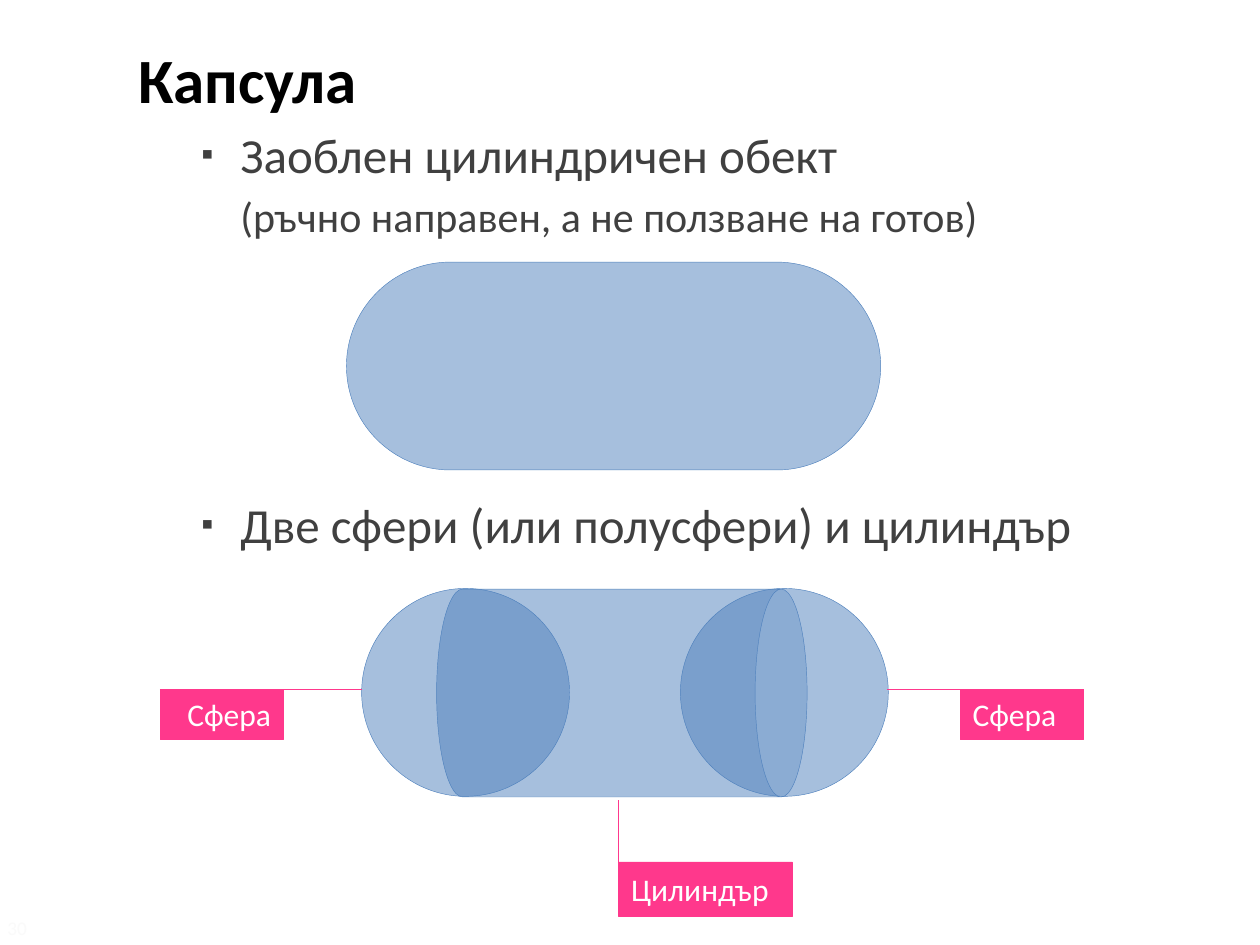
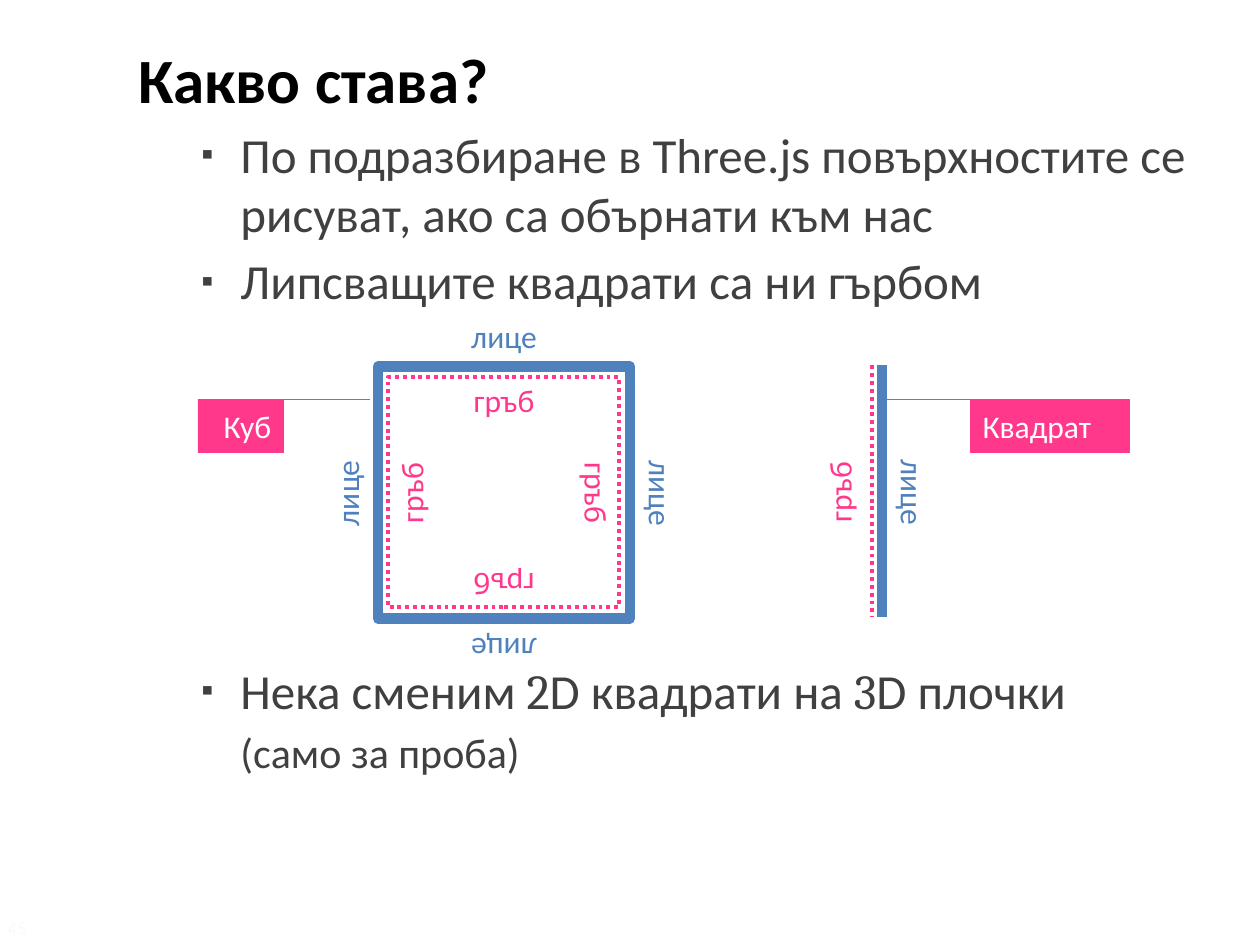
import math
from lxml import etree
from pptx import Presentation
from pptx.dml.color import RGBColor
from pptx.enum import dml, shapes, text
from pptx.oxml.ns import qn
from pptx.util import Inches, Pt

BLUE = RGBColor(0x4F, 0x81, 0xBD)
PINK = RGBColor(0xFF, 0x38, 0x8C)
WHITE = RGBColor(0xFF, 0xFF, 0xFF)
BLACK = RGBColor(0, 0, 0)
GREY = RGBColor(0x40, 0x40, 0x40)
PALE = RGBColor(0xFA, 0xFA, 0xFA)
FORM = shapes.MSO_SHAPE
LEFT, MID, RIGHT = text.PP_ALIGN.LEFT, text.PP_ALIGN.CENTER, text.PP_ALIGN.RIGHT
DOT = dml.MSO_LINE.ROUND_DOT


def write(par, words, size, color, bold=False, font="Calibri"):
    run = par.add_run()
    run.text = words
    run.font.name, run.font.size = font, Pt(size)
    run.font.bold, run.font.color.rgb = bold, color


def draw(page, form, box, fill=None, line=BLUE, width=0.25):
    """Add a preset shape; a blue fill is half transparent."""
    shape = page.shapes.add_shape(form, *map(Inches, box))
    shape.shadow.inherit = False
    shape.line.color.rgb, shape.line.width = line, Pt(width)
    if fill is None:
        shape.fill.background()
    else:
        shape.fill.solid()
        shape.fill.fore_color.rgb = fill
    if fill == BLUE:
        tint = shape.fill._xPr.find(".//" + qn("a:srgbClr"))
        etree.SubElement(tint, qn("a:alpha")).set("val", "50000")
    return shape


deck = Presentation()
deck.slide_width, deck.slide_height = Inches(10), Inches(7.5)

# Each line of the body: runs, size, bullet, space before
pages = [
    ("Капсула", "30", [
        (["Заоблен цилиндричен обект"], 28, True, 5),
        (["(ръчно направен, а не ползване на готов)"], 24, False, 4),
        (["Две сфери (или полусфери) и цилиндър"], 28, True, 145),
    ]),
    ("Какво става?", "45", [
        (["По подразбиране в Three.js повърхностите се рисуват, "
          "ако са обърнати към нас"], 28, True, 5),
        (["Липсващите квадрати са ни гърбом"], 28, True, 5),
        (["Нека сменим ", "2", "D квадрати на ", "3", "D плочки"], 28, True, 200.5),
        (["(само за проба)"], 24, False, 4),
    ]),
]
for title, number, lines in pages:
    page = deck.slides.add_slide(deck.slide_layouts[6])
    frame = page.shapes.add_textbox(
        Inches(1), Inches(0.27), Inches(8.92), Inches(7.15)).text_frame
    frame.word_wrap = True
    write(frame.paragraphs[0], title, 36, BLACK, True)
    for runs, size, dot, gap in lines:
        par = frame.add_paragraph()
        par.space_before = Pt(gap)
        for words in runs:
            write(par, words, size, GREY,
                  font="Cambria" if words.isdigit() else "Calibri")
        props = par._p.get_or_add_pPr()
        props.set("marL", str(Inches(0.81)))
        props.set("indent", str(Inches(-0.31 if dot else 0)))
        if dot:
            tint = etree.SubElement(props, qn("a:buClr"))
            etree.SubElement(tint, qn("a:srgbClr")).set("val", str(GREY))
            etree.SubElement(props, qn("a:buSzPct")).set("val", "70000")
            etree.SubElement(props, qn("a:buFont")).set("typeface", "Arial")
            etree.SubElement(props, qn("a:buChar")).set("char", "▪")
        else:
            etree.SubElement(props, qn("a:buNone"))
    foot = page.shapes.add_textbox(
        Inches(-0.04), Inches(7.22), Inches(0.5), Inches(0.28)).text_frame
    write(foot.paragraphs[0], number, 11, PALE)

solid, sides = deck.slides

# Pink labels
for page, words, box, side in [
    (solid, "Сфера", (1.27, 5.47, 0.98, 0.4), RIGHT),
    (solid, "Сфера", (7.62, 5.47, 0.98, 0.4), LEFT),
    (solid, "Цилиндър", (4.91, 6.84, 1.38, 0.43), LEFT),
    (sides, "Квадрат", (7.7, 3.17, 1.26, 0.42), LEFT),
    (sides, "Куб", (1.57, 3.17, 0.68, 0.42), RIGHT),
]:
    frame = draw(page, FORM.RECTANGLE, box, PINK, PINK).text_frame
    frame.vertical_anchor = text.MSO_ANCHOR.MIDDLE
    frame.paragraphs[0].alignment = side
    write(frame.paragraphs[0], words, 18, WHITE)

# Capsule, whole and in parts
draw(solid, FORM.ROUNDED_RECTANGLE, (2.75, 2.08, 4.24, 1.65), BLUE).adjustments[0] = 0.5
draw(solid, FORM.CAN, (4.11, 4.03, 1.65, 2.94), BLUE).rotation = 90
for left in (5.4, 2.87):
    draw(solid, FORM.OVAL, (left, 4.67, 1.65, 1.65), BLUE)

# Cube seen from above
draw(sides, FORM.RECTANGLE, (3.08, 2.99, 1.83, 1.83), None, PINK, 2.25).line.dash_style = DOT
draw(sides, FORM.RECTANGLE, (3, 2.91, 2, 2), None, BLUE, 6)

# Leader lines and the single square seen from above
for page, start, end, color, width in [
    (solid, (1.27, 5.47), (2.87, 5.47), PINK, 0.25),
    (solid, (7.04, 5.47), (8.6, 5.47), PINK, 0.25),
    (solid, (4.91, 6.35), (4.91, 7.26), PINK, 0.25),
    (sides, (7.04, 3.17), (8.96, 3.17), PINK, 0.25),
    (sides, (1.62, 3.17), (2.94, 3.17), PINK, 0.25),
    (sides, (7, 2.9), (7, 4.9), BLUE, 6),
    (sides, (6.92, 2.9), (6.92, 4.9), PINK, 2.25),
]:
    link = page.shapes.add_connector(
        shapes.MSO_CONNECTOR.STRAIGHT, *map(Inches, start + end))
    link.line.color.rgb, link.line.width = color, Pt(width)
    if width == 2.25:
        link.line.dash_style = DOT
    etree.SubElement(link._element.spPr, qn("a:effectLst"))

# Face and back labels: text, colour, centre, turn
marks = [("лице", BLUE, 7.25, 3.9, 90), ("гръб", PINK, 6.66, 3.9, 270)]
for words, color, reach in [("лице", BLUE, 1.25), ("гръб", PINK, 0.74)]:
    for turn in range(0, 360, 90):
        angle = math.radians(turn)
        marks.append((words, color, 4 + reach * math.sin(angle),
                      3.91 - reach * math.cos(angle), turn))
for words, color, x, y, turn in marks:
    label = sides.shapes.add_textbox(
        Inches(x - 1), Inches(y - 0.25), Inches(2), Inches(0.51))
    label.rotation = turn
    frame = label.text_frame
    frame.word_wrap = True
    frame.vertical_anchor = text.MSO_ANCHOR.MIDDLE
    frame.paragraphs[0].alignment = MID
    write(frame.paragraphs[0], words, 18, color)

deck.save("out.pptx")
